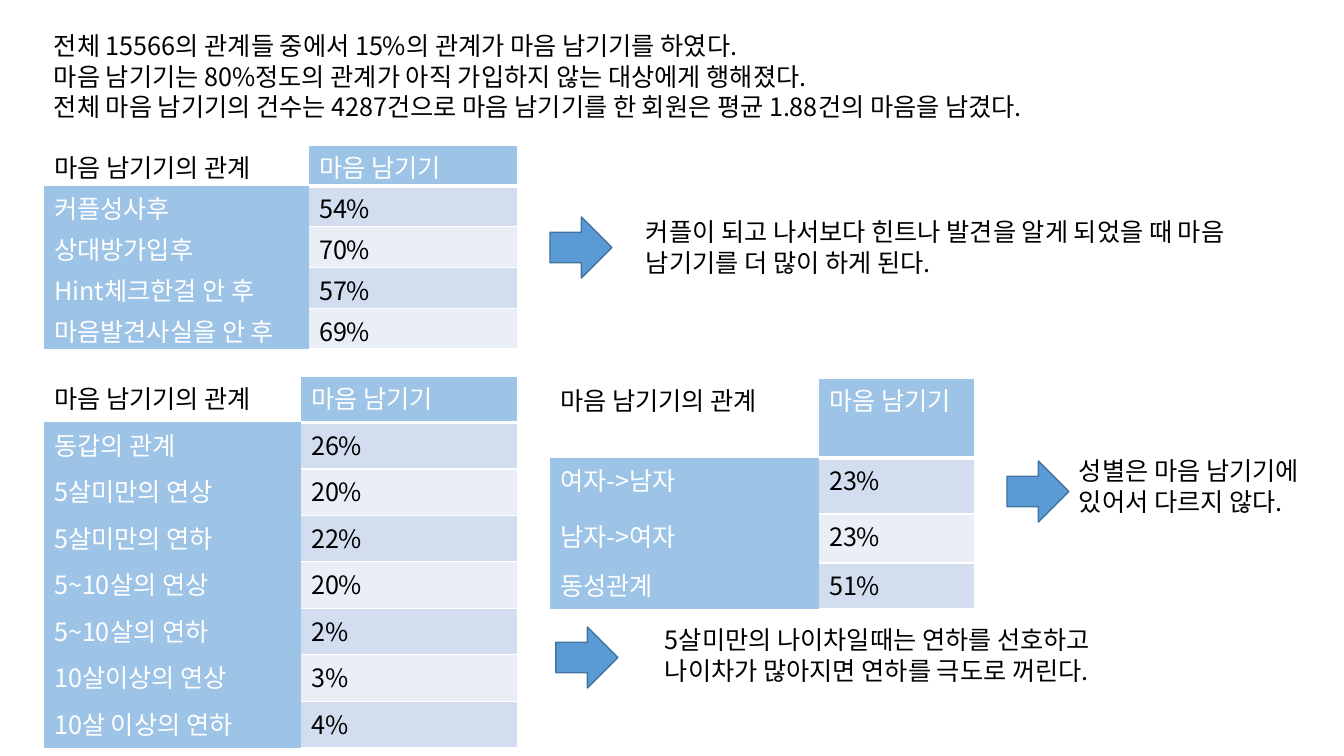
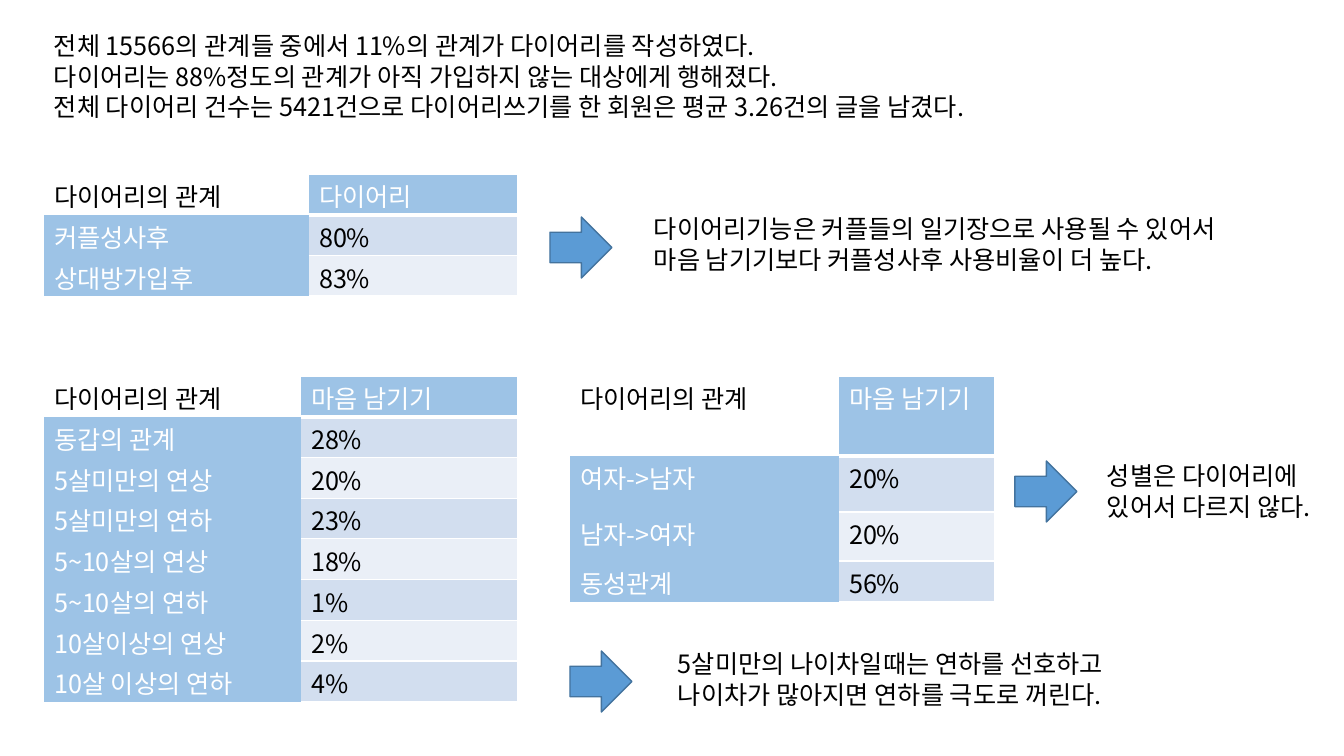
from lxml.etree import SubElement
from pptx import Presentation
from pptx.dml.color import RGBColor
from pptx.enum.shapes import MSO_SHAPE
from pptx.oxml.ns import qn
from pptx.util import Emu, Pt

FONT = "Noto Sans CJK KR"
BLACK, WHITE = "000000", "FFFFFF"
HEAD, BANDS = "9DC3E6", ("D2DEEF", "EAEFF7")
ARROW, EDGE = "5B9BD5", "43739E"
PLAIN = "{2D5ABB26-0587-4C30-8999-92F81FD0307C}"
AGES = ("동갑의 관계", "5살미만의 연상", "5살미만의 연하", "5~10살의 연상",
        "5~10살의 연하", "10살이상의 연상", "10살 이상의 연하")
PAIRS = ("여자->남자", "남자->여자", "동성관계")
STAGES = ("커플성사후", "상대방가입후", "Hint체크한걸 안 후", "마음발견사실을 안 후")
AGE_NOTE = ("5살미만의 나이차일때는 연하를 선호하고", "나이차가 많아지면 연하를 극도로 꺼린다.")


def px(n):
    return Emu(round(n * 914400 / 100.8))


def paint(target, color):
    target.solid()
    target.fore_color.rgb = RGBColor.from_string(color)


def write(frame, *lines, color=BLACK, size=18, pitch=21.5):
    frame.word_wrap = True
    for i, line in enumerate(lines):
        para = frame.paragraphs[0] if i == 0 else frame.add_paragraph()
        para.line_spacing = Pt(pitch)
        run = para.add_run()
        run.text = line
        font = run.font
        font.size = Pt(size)
        paint(font.fill, color)
        font.name = FONT
        SubElement(font._element, qn("a:ea"), typeface=FONT)


def text(slide, box, *lines, **style):
    frame = slide.shapes.add_textbox(*map(px, box)).text_frame
    write(frame, *lines, **style)


def rule(cell, side, width):
    """Draw a white border on one side of a table cell."""
    line = SubElement(cell._tc.get_or_add_tcPr(), qn(f"a:{side}"), w=str(Pt(width)))
    SubElement(SubElement(line, qn("a:solidFill")), qn("a:srgbClr"), val=WHITE)


def fill_cell(cell, words, color, back):
    cell.margin_top, cell.margin_bottom = px(10), 0
    write(cell.text_frame, words, color=color)
    paint(cell.fill, back)


def ratios(slide, box, split, heads, names, values, heights=None):
    """Table of names and percentages; rows are equal unless heights are given."""
    x, y, wide, high = box
    rows = [heads, *((name, f"{value}%") for name, value in zip(names, values))]
    heights = heights or [high / len(rows)] * len(rows)
    table = slide.shapes.add_table(len(rows), 2, *map(px, box)).table
    table.first_row = table.horz_banding = False
    table._tbl.tblPr.find(qn("a:tableStyleId")).text = PLAIN
    for col, width in zip(table.columns, (split, wide - split)):
        col.width = px(width)
    for i, (name, value) in enumerate(rows):
        table.rows[i].height = px(heights[i])
        left, right = table.cell(i, 0), table.cell(i, 1)
        for side, width in (("lnR", 1), ("lnT", 1), ("lnB", 1 if i else 3)):
            rule(right, side, width)
        if i:
            fill_cell(left, name, WHITE, HEAD)
            fill_cell(right, value, BLACK, BANDS[(i - 1) % 2])
        else:
            fill_cell(left, name, BLACK, WHITE)
            fill_cell(right, value, WHITE, HEAD)


def remark(slide, spot, box, *lines):
    """Arrow at spot, pointing to a comment in box."""
    arrow = slide.shapes.add_shape(MSO_SHAPE.RIGHT_ARROW, *map(px, (*spot, 62, 61)))
    arrow.shadow.inherit = False
    paint(arrow.fill, ARROW)
    paint(arrow.line.fill, EDGE)
    arrow.line.width = Pt(1)
    text(slide, box, *lines)


def report(deck, intro, topic, stage, age, pair, notes):
    """Slide with an intro, three tables and their comments."""
    slide = deck.slides.add_slide(deck.slide_layouts[6])
    text(slide, (44, 26, 1183, 132), *intro)
    heads = (topic, "마음 남기기")
    ratios(slide, (44, stage["top"], 474, stage["high"]), 265,
           (topic, stage["head"]), STAGES, stage["values"])
    ratios(slide, (44, 376, 474, age["high"]), 257, heads, AGES, age["values"])
    heights = pair["heights"]
    ratios(slide, (*pair["spot"], 425, sum(heights)), 269, heads, PAIRS,
           pair["values"], heights)
    for note in notes:
        remark(slide, *note)


def main():
    deck = Presentation()
    deck.slide_width, deck.slide_height = px(1344), px(756)
    report(
        deck,
        ("전체 15566의 관계들 중에서 15%의 관계가 마음 남기기를 하였다.",
         "마음 남기기는 80%정도의 관계가 아직 가입하지 않는 대상에게 행해졌다.",
         "전체 마음 남기기의 건수는 4287건으로 마음 남기기를 한 회원은 평균 1.88건의 마음을 남겼다."),
        "마음 남기기의 관계",
        dict(top=145, high=204, head="마음 남기기", values=(54, 70, 57, 69)),
        dict(high=372, values=(26, 20, 22, 20, 2, 3, 4)),
        dict(spot=(550, 378), heights=(80, 56, 49, 46), values=(23, 23, 51)),
        (((550, 217), (636, 212, 607, 72),
          "커플이 되고 나서보다 힌트나 발견을 알게 되었을 때 마음 남기기를 더 많이 하게 된다."),
         ((556, 627), (655, 620, 650, 72), *AGE_NOTE),
         ((1007, 461), (1069, 451, 288, 72), "성별은 마음 남기기에 있어서 다르지 않다.")))
    report(
        deck,
        ("전체 15566의 관계들 중에서 11%의 관계가 다이어리를 작성하였다.",
         "다이어리는 88%정도의 관계가 아직 가입하지 않는 대상에게 행해졌다.",
         "전체 다이어리 건수는 5421건으로 다이어리쓰기를 한 회원은 평균 3.26건의 글을 남겼다."),
        "다이어리의 관계",
        dict(top=174, high=122, head="다이어리", values=(80, 83)),
        dict(high=326, values=(28, 20, 23, 18, 1, 2, 4)),
        dict(spot=(570, 376), heights=(80, 56, 49, 41), values=(20, 20, 56)),
        (((550, 217), (644, 209, 628, 102),
          "다이어리기능은 커플들의 일기장으로 사용될 수 있어서 마음 남기기보다 커플성사후 사용비율이 더 높다."),
         ((570, 651), (668, 644, 650, 72), *AGE_NOTE),
         ((1015, 461), (1097, 456, 240, 72), "성별은 다이어리에 있어서 다르지 않다.")))
    deck.save("out.pptx")


if __name__ == "__main__":
    main()
